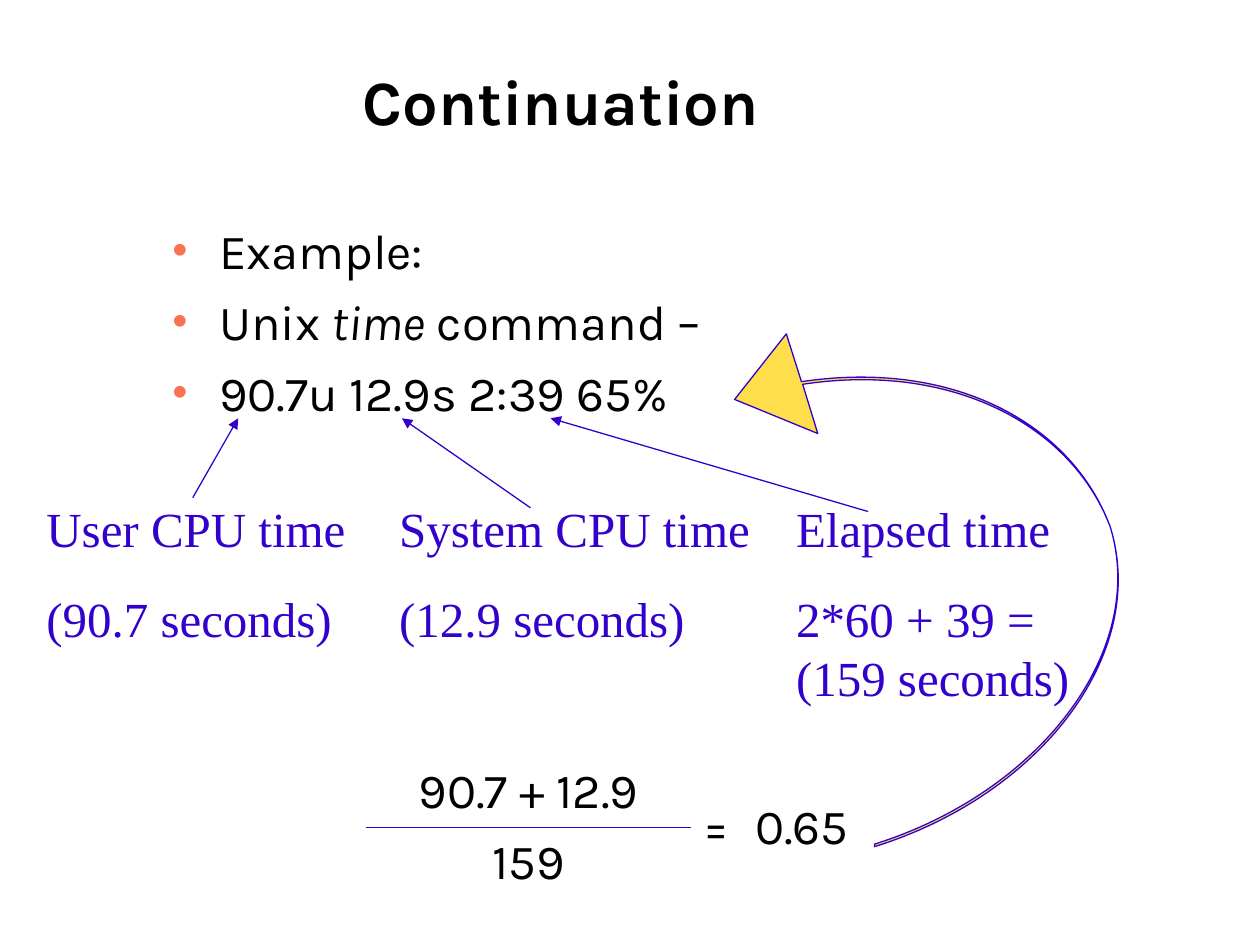
import math
from dataclasses import dataclass

from lxml import etree
from pptx import Presentation
from pptx import util as u
from pptx.dml.color import RGBColor
from pptx.enum import shapes, text
from pptx.oxml import ns

Point = tuple[float, float]


@dataclass(frozen=True)
class Theme:
    body_font: str = "Karla"
    note_font: str = "Times New Roman"
    black: str = "000000"
    violet: str = "3300CC"
    yellow: str = "FFDE4B"
    coral: str = "F77352"
    title_size: float = 36
    text_size: float = 28
    line_width: float = 0.74
    rule_width: float = 0.45


@dataclass(frozen=True)
class Note:
    left: float
    width: float
    height: float
    lines: tuple[str, str]
    start: Point
    end: Point


T = Theme()
NOTES = [
    Note(0.27, 2.64, 1.28, ("User CPU time", "(90.7 seconds)"), (1.53, 3.95), (1.89, 3.32)),
    Note(3.07, 3.07, 1.28, ("System CPU time", "(12.9 seconds)"), (4.21, 4.03), (3.19, 3.32)),
    Note(6.22, 2.64, 1.75, ("Elapsed time", "2*60 + 39 = (159 seconds)"), (6.89, 4.06), (4.37, 3.32)),
]


def rgb(color: str) -> RGBColor:
    return RGBColor.from_string(color)


def add_xml(parent, tag: str, **attrs: str):
    return etree.SubElement(parent, ns.qn(tag), attrs)


def style(p, font: str, size: float, color: str, before: float = 0, bold: bool = False) -> None:
    p.space_before = u.Pt(before)
    for r in p.runs:
        r.font.name, r.font.size, r.font.bold = font, u.Pt(size), bold
        r.font.color.rgb = rgb(color)


def add_text(s, left: float, top: float, width: float, height: float, words: str, inset: float = 0.1):
    tf = s.shapes.add_textbox(*map(u.Inches, (left, top, width, height))).text_frame
    tf.word_wrap = True
    tf.margin_left = u.Inches(inset)
    tf.text = words
    return tf


def add_title(s) -> None:
    tf = add_text(s, 0.75, 0.17, 7.09, 1.25, "Continuation", 0.41)
    tf.vertical_anchor = text.MSO_ANCHOR.MIDDLE
    p = tf.paragraphs[0]
    p.alignment = text.PP_ALIGN.CENTER
    style(p, T.body_font, T.title_size, T.black, bold=True)


def add_example(s) -> None:
    tf = add_text(s, 0.75, 1.7, 8.23, 4.97, "Example:\nUnix \n90.7u 12.9s 2:39 65%", 0.61)
    command = tf.paragraphs[1]
    for words, italic in (("time", True), (" command – ", False)):
        r = command.add_run()
        r.text, r.font.italic = words, italic
    for p in tf.paragraphs:
        style(p, T.body_font, T.text_size, T.black, 7)
        pPr = p._p.get_or_add_pPr()
        pPr.set("marL", str(u.Inches(0.38)))
        pPr.set("indent", str(-u.Inches(0.38)))
        add_xml(add_xml(pPr, "a:buClr"), "a:srgbClr", val=T.coral)
        add_xml(pPr, "a:buFont", typeface=T.note_font)
        add_xml(pPr, "a:buChar", char="•")


def add_note(s, note: Note) -> None:
    tf = add_text(s, note.left, 3.91, note.width, note.height, "\n".join(note.lines))
    for p in tf.paragraphs:
        style(p, T.note_font, T.text_size, T.violet, 17.5)
    ends = map(u.Inches, (*note.start, *note.end))
    arrow = s.shapes.add_connector(shapes.MSO_CONNECTOR.STRAIGHT, *ends)
    arrow.line.color.rgb = rgb(T.violet)
    arrow.line.width = u.Pt(T.line_width)
    add_xml(arrow.line._get_or_add_ln(), "a:tailEnd", type="triangle")
    add_xml(arrow._element.spPr, "a:effectLst")


def add_border(cell, side: str) -> None:
    ln = etree.Element(ns.qn(side), w=str(u.Pt(T.rule_width)), cap="flat", cmpd="sng")
    add_xml(add_xml(ln, "a:solidFill"), "a:srgbClr", val=T.violet)
    add_xml(ln, "a:prstDash", val="solid")
    cell._tc.get_or_add_tcPr().insert(0, ln)


def add_fraction(s) -> None:
    frame = s.shapes.add_table(2, 3, *map(u.Inches, (2.91, 6, 4.05, 1.14)))
    table = frame.table
    table.first_row = table.horz_banding = False
    for column, width in zip(table.columns, (2.57, 0.29, 1.19)):
        column.width = u.Inches(width)
    for column in (1, 2):
        table.cell(0, column).merge(table.cell(1, column))
    for cell in table.iter_cells():
        cell.fill.background()
    for row, column, words in ((0, 0, "90.7 + 12.9"), (1, 0, "159"), (0, 1, "="), (0, 2, "0.65")):
        cell = table.cell(row, column)
        cell.text = words
        cell.vertical_anchor = text.MSO_ANCHOR.MIDDLE
        p = cell.text_frame.paragraphs[0]
        p.alignment = text.PP_ALIGN.CENTER
        style(p, T.body_font, T.text_size, T.black, 7)
    add_border(table.cell(0, 0), "a:lnB")
    add_border(table.cell(1, 0), "a:lnT")


def turn(point: Point, center: Point, degrees: float) -> Point:
    angle = math.radians(degrees)
    x, y = point[0] - center[0], point[1] - center[1]
    return (
        center[0] + x * math.cos(angle) - y * math.sin(angle),
        center[1] + x * math.sin(angle) + y * math.cos(angle),
    )


def add_result_arrow(s) -> None:
    left, top, width, height, rotation = 6.27, 2.3, 2.54, 4.14, 162.6
    bend = (8.81, 4.18)
    segments = [
        [(8.28, 6.3), (9.12, 5.17), bend],
        [(8.5, 3.35), (7.55, 2.85), (6.36, 3.03)],
        [(6.24, 2.65)],
        [(5.83, 3.17)],
        [(6.49, 3.44)],
        [(6.37, 3.05)],
        [(7.55, 2.87), (8.5, 3.37), bend],
        [(9.11, 5.15), (8.27, 6.28), (6.94, 6.7)],
    ]
    center = (left + width / 2, top + height / 2)
    outline = [(6.94, 6.72)] + [point for segment in segments for point in segment]
    local = [turn(point, center, -rotation) for point in outline]
    units = [(round(1000 * (x - left)), round(1000 * (y - top))) for x, y in local]
    builder = s.shapes.build_freeform(*units[0], scale=u.Inches(1) / 1000)
    builder.add_line_segments(units[1:], close=True)
    sp = builder.convert_to_shape()
    sp.left, sp.top, sp.width, sp.height = map(u.Inches, (left, top, width, height))
    sp.rotation = rotation
    path = sp._element.spPr.find(".//" + ns.qn("a:path"))
    path.set("w", str(round(1000 * width)))
    path.set("h", str(round(1000 * height)))
    points = list(path.iter(ns.qn("a:pt")))
    for pt, (x, y) in zip(points, units):
        pt.set("x", str(x))
        pt.set("y", str(y))
    remaining = iter(points[1:])
    for segment in segments:
        first, *others = [next(remaining) for _ in segment]
        step = first.getparent()
        if others:
            step.tag = ns.qn("a:cubicBezTo")
        for pt in others:
            path.remove(pt.getparent())
            step.append(pt)
    sp.shadow.inherit = False
    sp.fill.solid()
    sp.fill.fore_color.rgb = rgb(T.yellow)
    sp.line.color.rgb = rgb(T.violet)
    sp.line.width = u.Pt(T.line_width)


prs = Presentation()
prs.slide_width, prs.slide_height = u.Inches(10), u.Inches(7.5)
s = prs.slides.add_slide(prs.slide_layouts[6])
add_title(s)
add_example(s)
for note in NOTES:
    add_note(s, note)
add_fraction(s)
add_result_arrow(s)
prs.save("out.pptx")
